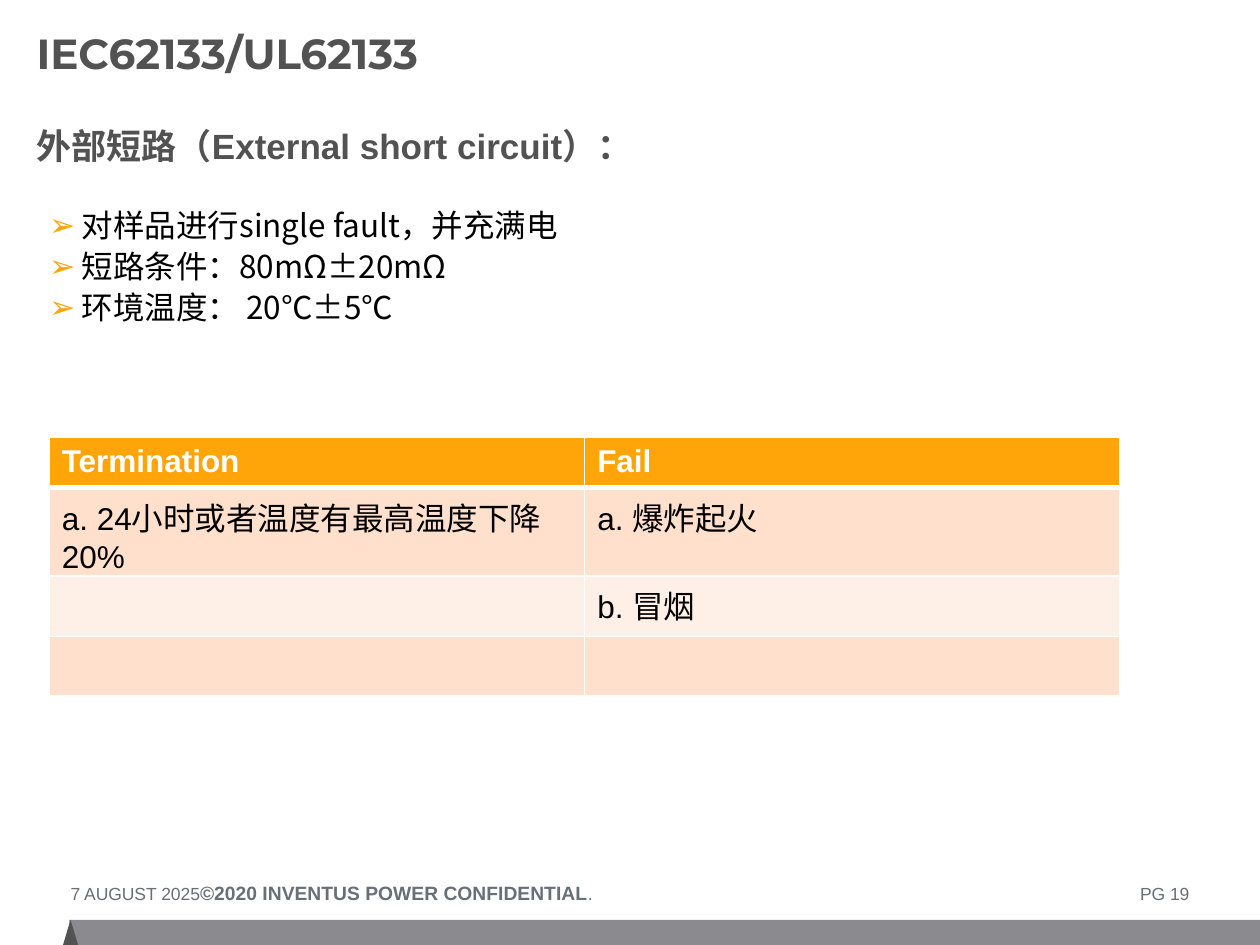
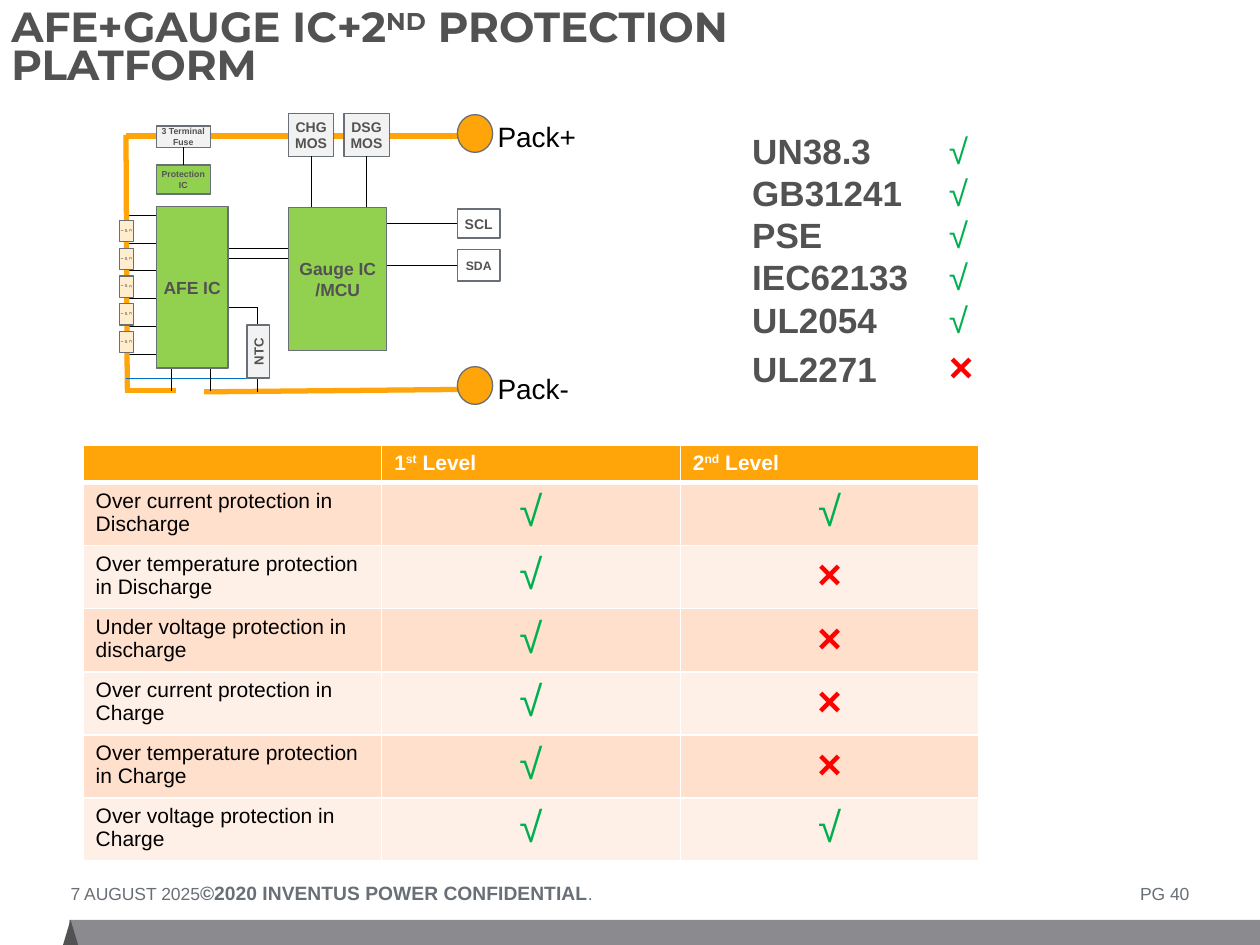
"""Build two battery safety slides: a short circuit test and a protection platform."""
import dataclasses

import pptx
import pptx.dml.color
import pptx.enum.shapes
import pptx.enum.text
import pptx.oxml.ns
import pptx.util
from lxml import etree

Inches = pptx.util.Inches
Pt = pptx.util.Pt
SHAPE = pptx.enum.shapes.MSO_SHAPE
ALIGN = pptx.enum.text.PP_ALIGN
ANCHOR = pptx.enum.text.MSO_ANCHOR
qn = pptx.oxml.ns.qn

TOP, LEFT, BOTTOM = 0, 1, 2


@dataclasses.dataclass(frozen=True)
class Theme:
    white: str = "FFFFFF"
    black: str = "000000"
    dark: str = "535252"
    slate: str = "686F76"
    band: str = "8B8A8F"
    orange: str = "FFA409"
    peach: str = "FFE0CC"
    cream: str = "FFF0E7"
    pale: str = "F2F2F2"
    cell: str = "FFEDCE"
    chip: str = "92D050"
    resistor: str = "0070C0"
    passed: str = "00B050"
    failed: str = "FF0000"
    font: str = "Arial"
    title_font: str = "Montserrat"
    chinese_font: str = "Noto Sans CJK SC"
    title: float = 24
    heading: float = 20
    body: float = 18
    terminal: float = 16
    small: float = 12
    notice: float = 11
    footer: float = 10
    label: float = 8
    sensor: float = 7.5
    port: float = 7
    tiny: float = 5
    micro: float = 2
    wire: float = 0.5
    outline: float = 0.75
    power: float = 3


class Deck:
    def __init__(self, theme):
        self.theme = theme
        self.presentation = pptx.Presentation()
        self.presentation.slide_width = Inches(10)
        self.presentation.slide_height = Inches(7.5)
        self.page = None

    def color(self, value):
        return pptx.dml.color.RGBColor.from_string(value)

    def add_spans(self, para, spans, size, color, bold=False, font=None):
        """Fill a paragraph from a string or from (text, changes) spans."""
        spans = [(spans, {})] if isinstance(spans, str) else spans
        for text, changes in spans:
            span = para.add_run()
            span.text = text
            span.font.name = font or self.theme.font
            span.font.size = Pt(changes.get("size", size))
            span.font.bold = changes.get("bold", bold)
            span.font.color.rgb = self.color(changes.get("color", color))
            if changes.get("raised"):
                span.font._element.set("baseline", "30000")
            if font == self.theme.chinese_font:
                etree.SubElement(span.font._element, qn("a:ea"), typeface=font)

    def fill_frame(self, frame, lines, size, color, bold=False, font=None,
                   insets=(0, 0, 0, 0), anchor=ANCHOR.TOP, align=ALIGN.LEFT):
        frame.word_wrap = True
        frame.vertical_anchor = anchor
        (frame.margin_left, frame.margin_top,
         frame.margin_right, frame.margin_bottom) = map(Inches, insets)
        for index, line in enumerate(lines):
            para = frame.add_paragraph() if index else frame.paragraphs[0]
            para.alignment = align
            self.add_spans(para, line, size, color, bold, font)
        return frame.paragraphs

    def text(self, place, lines, size, color, **style):
        box = self.page.shapes.add_textbox(*map(Inches, place))
        return self.fill_frame(box.text_frame, lines, size, color, **style)

    def shape(self, kind, place, fill, outline=None):
        box = self.page.shapes.add_shape(kind, *map(Inches, place))
        box.shadow.inherit = False
        box.fill.solid()
        box.fill.fore_color.rgb = self.color(fill)
        if outline:
            box.line.color.rgb = self.color(outline)
            box.line.width = Pt(self.theme.outline)
        else:
            box.line.fill.background()
        return box

    def block(self, place, lines, fill, size, upright=False):
        box = self.shape(SHAPE.RECTANGLE, place, fill, self.theme.slate)
        self.fill_frame(box.text_frame, lines, size, self.theme.dark, bold=True,
                        insets=(0.04, 0.05, 0.04, 0.05), anchor=ANCHOR.MIDDLE,
                        align=ALIGN.CENTER)
        if upright:
            box.element.find(".//" + qn("a:bodyPr")).set("vert", "eaVert")
        return box

    def line(self, start, end, color=None, width=None, begin=None, finish=None):
        """Draw a straight line, joined to (box, side) at either end if given."""
        line = self.page.shapes.add_connector(
            pptx.enum.shapes.MSO_CONNECTOR.STRAIGHT, *map(Inches, (*start, *end)))
        line.line.color.rgb = self.color(color or self.theme.black)
        line.line.width = Pt(width or self.theme.wire)
        etree.SubElement(line.element.spPr, qn("a:effectLst"))
        if begin:
            line.begin_connect(*begin)
        if finish:
            line.end_connect(*finish)

    def zigzag(self, points, color):
        builder = self.page.shapes.build_freeform(*points[0], scale=Inches(1))
        builder.add_line_segments(points[1:], close=False)
        trace = builder.convert_to_shape()
        trace.shadow.inherit = False
        trace.fill.background()
        trace.line.color.rgb = self.color(color)
        trace.line.width = Pt(self.theme.wire)

    def tab(self, para, position, align):
        stops = etree.SubElement(para._p.get_or_add_pPr(), qn("a:tabLst"))
        etree.SubElement(stops, qn("a:tab"), pos=str(Inches(position)), algn=align)

    def bullet(self, para):
        props = para._p.get_or_add_pPr()
        props.set("marL", str(Inches(0.26)))
        props.set("indent", str(-Inches(0.26)))
        tint = etree.SubElement(props, qn("a:buClr"))
        etree.SubElement(tint, qn("a:srgbClr"), val=self.theme.orange)
        etree.SubElement(props, qn("a:buFont"), typeface=self.theme.font)
        etree.SubElement(props, qn("a:buChar"), char="➢")

    def border(self, cell, side, width):
        edge = etree.SubElement(cell._tc.get_or_add_tcPr(), qn("a:ln" + side), w=str(Pt(width)))
        paint = etree.SubElement(edge, qn("a:solidFill"))
        etree.SubElement(paint, qn("a:srgbClr"), val=self.theme.white)

    def table(self, place, widths, heights, rows, size):
        """Draw a table with an orange header and alternating body rows."""
        theme = self.theme
        grid = self.page.shapes.add_table(
            len(rows), len(widths), *map(Inches, (*place, sum(widths), sum(heights)))).table
        for column, width in zip(grid.columns, widths):
            column.width = Inches(width)
        for index, (row, height) in enumerate(zip(rows, heights)):
            grid.rows[index].height = Inches(height)
            header = index == 0
            fill = theme.orange if header else (theme.cream, theme.peach)[index % 2]
            for cell, content in zip(grid.rows[index].cells, row):
                for side in "LRTB":
                    thick = (header and side == "B") or (index == 1 and side == "T")
                    self.border(cell, side, 3 if thick else 1)
                cell.fill.solid()
                cell.fill.fore_color.rgb = self.color(fill)
                para = cell.text_frame.paragraphs[0]
                if not content:
                    etree.SubElement(para._p, qn("a:endParaRPr"), sz=str(size * 100))
                elif content in ("√", "×"):
                    para.alignment = ALIGN.CENTER
                    self.add_spans(para, [self.mark(content)], theme.title, theme.black)
                else:
                    self.add_spans(para, content, size,
                                   theme.white if header else theme.black, header)

    def mark(self, sign):
        failed = sign == "×"
        return sign, {"color": self.theme.failed if failed else self.theme.passed, "bold": failed}

    def start(self, title, corner, number):
        """Add a slide with its title, footer and bottom band."""
        theme = self.theme
        self.page = self.presentation.slides.add_slide(self.presentation.slide_layouts[6])
        self.shape(SHAPE.RECTANGLE, (0.55, 7.3, 9.45, 0.2), theme.band)
        self.shape(SHAPE.ISOSCELES_TRIANGLE, (0.5, 7.3, 0.12, 0.2), theme.dark)
        notice = ("©2020 INVENTUS POWER CONFIDENTIAL", {"size": theme.notice, "bold": True})
        footer = [("7 AUGUST 2025", {}), notice, (f".\tPG {number}", {})]
        paras = self.text((0.56, 6.99, 8.89, 0.19), [footer], theme.footer, theme.slate)
        self.tab(paras[0], 8.88, "r")
        paras = self.text((*corner, 7.38, 0.64), [title], theme.title, theme.dark, bold=True,
                          font=theme.title_font, anchor=ANCHOR.MIDDLE)
        paras[0].line_spacing = 0.75


def short_circuit_slide(deck):
    theme = deck.theme
    deck.start("IEC62133/UL62133", (0.29, 0.14), 19)
    heading = deck.text((0.29, 1.03, 5.25, 0.46), ["外部短路（External short circuit）："],
                        theme.heading, theme.dark, bold=True)
    heading[0].line_spacing = 0.9
    conditions = ["对样品进行single fault，并充满电", "短路条件：80mΩ±20mΩ", "环境温度： 20℃±5℃"]
    for para in deck.text((0.39, 1.67, 6.42, 1.2), conditions, theme.body, theme.black,
                          font=theme.chinese_font):
        deck.bullet(para)
        para.line_spacing = 0.9
        para.space_after = Pt(4)
    rows = [("Termination", "Fail"),
            ("a. 24小时或者温度有最高温度下降20%", "a. 爆炸起火"),
            ("", "b. 冒烟"),
            ("", "")]
    deck.table((0.39, 3.47), [4.25] * 2, [0.38, 0.66, 0.48, 0.47], rows, theme.body)


def draw_circuit(deck):
    theme = deck.theme
    pitch = 0.22
    for index in range(6):
        tap = 1.71 + index * pitch
        deck.line((1, tap), (1.24, tap))
    for height in (1.97, 2.05):
        deck.line((1.81, height), (2.29, height))
    for start, end in [((1, 1.08), (3.69, 1.08)), ((1, 1.07), (1.01, 3.09)),
                       ((0.99, 3.1), (1.4, 3.1)), ((1.62, 3.11), (3.77, 3.09))]:
        deck.line(start, end, theme.orange, theme.power)
    deck.zigzag([(1.36, 3.11), (1.41, 3.11), (1.45, 3.07), (1.49, 3.12), (1.53, 3.07),
                 (1.57, 3.12), (1.59, 3.11), (1.63, 3.11)], theme.resistor)
    deck.line((1.81, 2.44), (2.04, 2.44))
    deck.line((2.04, 2.44), (2.04, 3.11))
    for pin in (1.36, 1.67):
        deck.line((pin, 2.92), (pin, 3.1))

    fuse = deck.block((1.24, 1, 0.43, 0.17), ["3 Terminal Fuse"], theme.pale, theme.tiny)
    protection = deck.block((1.24, 1.31, 0.43, 0.23), ["Protection", "IC"], theme.chip, theme.tiny)
    deck.line((1.45, 1.17), (1.45, 1.31), begin=(fuse, BOTTOM), finish=(protection, TOP))
    for name, left in (("CHG", 2.29), ("DSG", 2.73)):
        switch = deck.block((left, 0.9, 0.36, 0.34), [name, "MOS"], theme.pale, theme.label)
        deck.line((left + 0.18, 1.24), (left + 0.18, 1.65), begin=(switch, BOTTOM))
    for name, top, height, size in (("SCL", 1.66, 0.23, theme.label),
                                    ("SDA", 1.98, 0.25, theme.port)):
        port = deck.block((3.63, top, 0.34, height), [name], theme.white, size)
        middle = top + height / 2
        deck.line((3.63, middle), (3.07, middle), begin=(port, LEFT))
    deck.block((1.84, 2.7, 0.42, 0.18), ["NTC"], theme.pale, theme.sensor).rotation = 270
    deck.block((2.29, 1.65, 0.78, 1.13), ["Gauge IC", "/MCU"], theme.chip, theme.footer)
    deck.block((1.24, 1.64, 0.57, 1.28), ["AFE IC"], theme.chip, theme.footer)
    for index in range(5):
        deck.block((0.95, 1.75 + index * pitch, 0.11, 0.17), ["Cell"], theme.cell,
                   theme.micro, upright=True)
    for name, top in (("Pack+", 0.9), ("Pack-", 2.9)):
        deck.shape(SHAPE.OVAL, (3.63, top + 0.01, 0.28, 0.3), theme.orange, theme.slate)
        deck.text((3.85, top, 0.85, 0.31), [name], theme.terminal, theme.black,
                  insets=(0.1, 0.05, 0.1, 0.05))


def platform_slide(deck):
    theme = deck.theme
    raised = {"raised": True}
    deck.start([("AFE+GAUGE IC+2", {}), ("ND", raised), (" PROTECTION PLATFORM", {})],
               (0.09, 0.08), 40)
    rows = [("", [("1", {}), ("st", raised), (" Level", {})],
             [("2", {}), ("nd", raised), (" Level", {})]),
            ("Over current protection in Discharge", "√", "√"),
            ("Over temperature protection in Discharge", "√", "×"),
            ("Under voltage protection in discharge", "√", "×"),
            ("Over current protection in Charge", "√", "×"),
            ("Over temperature protection in Charge", "√", "×"),
            ("Over voltage protection in Charge", "√", "√")]
    deck.table((0.66, 3.53), [2.37] * 3, [0.26] + [0.43] * 6, rows, theme.small)

    standards = {"UN38.3": "√", "GB31241": "√", "PSE": "√",
                 "IEC62133": "√", "UL2054": "√", "UL2271": "×"}
    lines = []
    for name, sign in standards.items():
        text, look = deck.mark(sign)
        size = theme.title if sign == "×" else theme.heading
        lines.append([(name + "\t", {}), (text, {**look, "size": size})])
    panel = deck.shape(SHAPE.RECTANGLE, (5.3, 0.9, 3.29, 2.45), theme.white, theme.white)
    for para in deck.fill_frame(panel.text_frame, lines, theme.heading, theme.dark, bold=True,
                                insets=(0.67, 0.05, 0.04, 0.17), anchor=ANCHOR.MIDDLE):
        deck.tab(para, 1.56, "l")
    draw_circuit(deck)


def main():
    deck = Deck(Theme())
    short_circuit_slide(deck)
    platform_slide(deck)
    deck.presentation.save("out.pptx")


if __name__ == "__main__":
    main()
